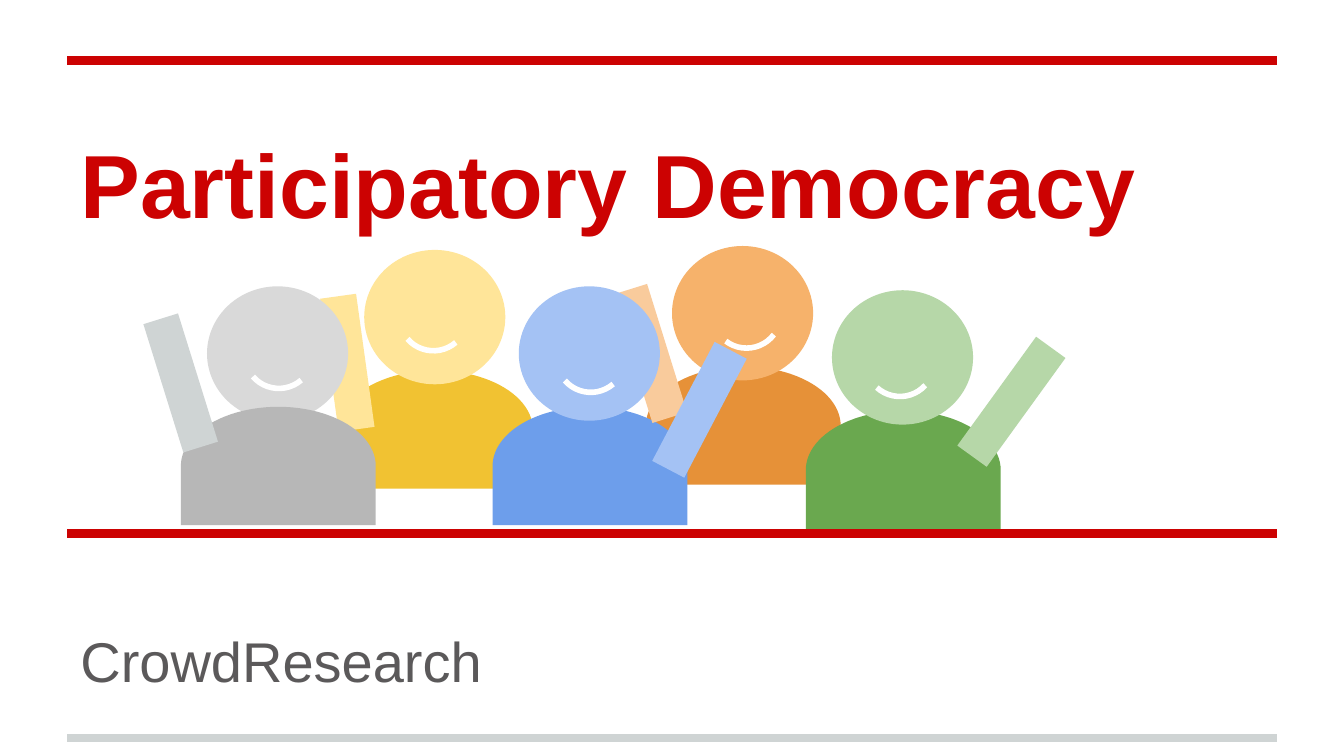
from dataclasses import dataclass

from lxml import etree
from pptx import Presentation
from pptx import util as u
from pptx.dml.color import RGBColor
from pptx.enum import shapes, text
from pptx.oxml import ns

COLORS = {
    "red": "CC0202", "rule": "CFD4D4", "ink": "5B595A", "white": "FFFFFF",
    "yellow": "F1C232", "yellow_light": "FFE599",
    "orange": "E69138", "orange_light": "F6B26B", "orange_pale": "F9CB9C",
    "green": "6AA84F", "green_light": "B6D7A8",
    "blue": "6D9EEB", "blue_light": "A4C2F4",
    "grey": "B7B7B7", "grey_light": "D9D9D9",
}
LEFT, WIDTH = 36, 648
HEAD, BODY, ARM, SMILE = (75.6, 72), (63.36, 104.4), (19.44, 72), (36.72, 36.72)
BODY_OFFSET = (6.5, 44)
MSO = shapes.MSO_SHAPE


@dataclass
class Person:
    """One member of the crowd; positions are (left, top) in points."""
    body: str
    face: str
    sleeve: str
    head_at: tuple[float, float]
    arm_at: tuple[float, float]
    arm_turn: float
    smile_at: tuple[float, float]
    smile_turn: float = 139.2
    body_in_front: bool = False


@dataclass
class Label:
    """A line of text in its own box."""
    words: str
    top: float
    height: float
    size: float
    color: str
    bold: bool = False


@dataclass
class Rule:
    """A horizontal line across the slide."""
    y: float
    weight: float
    color: str


RULES = [Rule(395.3, 4, "rule"), Rule(32.4, 4.5, "red"), Rule(285.8, 4.5, "red")]
LABELS = [
    Label("Participatory Democracy", 56.2, 236.9, 48, "red", True),
    Label("CrowdResearch", 324.7, 97.2, 30, "ink"),
]
CROWD = [
    Person("yellow", "yellow_light", "yellow_light", (195.1, 133.9),
           (176.4, 158.4), 352.1, (213.8, 151.2)),
    Person("orange", "orange_light", "orange_pale", (360, 131.8),
           (338.4, 153.4), 342.7, (381.6, 149.8), 127.3),
    Person("green", "green_light", "green_light", (445.7, 155.5),
           (532.1, 179.3), 35.9, (463.7, 175.7), 132.3),
    Person("blue", "blue_light", "blue_light", (277.9, 153.4),
           (365, 183.6), 27.7, (298.1, 173.5)),
    Person("grey", "grey_light", "rule", (110.9, 153.4),
           (87.1, 169.2), 342.7, (131, 171.4), body_in_front=True),
]


def rgb(name: str) -> RGBColor:
    """Look up a named colour."""
    return RGBColor.from_string(COLORS[name])


def add_rule(s, rule: Rule) -> None:
    """Draw a horizontal rule."""
    y = u.Pt(rule.y)
    sp = s.shapes.add_connector(shapes.MSO_CONNECTOR.STRAIGHT,
                                u.Pt(LEFT), y, u.Pt(LEFT + WIDTH), y)
    sp.line.color.rgb = rgb(rule.color)
    sp.line.width = u.Pt(rule.weight)
    etree.SubElement(sp._element.spPr, ns.qn("a:effectLst"))


def add_label(s, label: Label) -> None:
    """Write a label."""
    sp = s.shapes.add_textbox(u.Pt(LEFT), u.Pt(label.top), u.Pt(WIDTH), u.Pt(label.height))
    tf = sp.text_frame
    tf.word_wrap = True
    tf.vertical_anchor = text.MSO_ANCHOR.TOP
    tf.margin_left = tf.margin_right = tf.margin_top = tf.margin_bottom = u.Pt(7.2)
    p = tf.paragraphs[0]
    p.line_spacing = 1.1
    r = p.add_run()
    r.text = label.words
    r.font.name = "Arial"
    r.font.size = u.Pt(label.size)
    r.font.bold = label.bold
    r.font.color.rgb = rgb(label.color)


def add_part(s, kind, at: tuple, size: tuple, color: str, turn: float = 0):
    """Draw one filled shape without outline."""
    sp = s.shapes.add_shape(kind, *(u.Pt(v) for v in (*at, *size)))
    sp.rotation = turn
    sp.shadow.inherit = False
    sp.fill.solid()
    sp.fill.fore_color.rgb = rgb(color)
    sp.line.fill.background()
    return sp


def add_body(s, who: Person) -> None:
    """Draw the shoulders below a head."""
    at = tuple(h + d for h, d in zip(who.head_at, BODY_OFFSET))
    add_part(s, MSO.FLOWCHART_DELAY, at, BODY, who.body, 270)


def add_smile(s, who: Person) -> None:
    """Draw a smile as an open arc."""
    sp = add_part(s, MSO.ARC, who.smile_at, SMILE, "white", who.smile_turn)
    sp.fill.background()
    sp.line.color.rgb = rgb("white")
    sp.line.width = u.Pt(3)


def add_crowd(s, crowd: list[Person]) -> None:
    """Draw the people in layers, smiles on top."""
    for who in crowd:
        if not who.body_in_front:
            add_body(s, who)
    for who in crowd:
        add_part(s, MSO.OVAL, who.head_at, HEAD, who.face)
        if who.body_in_front:
            add_body(s, who)
        add_part(s, MSO.RECTANGLE, who.arm_at, ARM, who.sleeve, who.arm_turn)
    for who in crowd:
        add_smile(s, who)


def main() -> None:
    """Build and save the slide."""
    prs = Presentation()
    prs.slide_width, prs.slide_height = u.Pt(720), u.Pt(405)
    s = prs.slides.add_slide(prs.slide_layouts[6])
    for rule in RULES:
        add_rule(s, rule)
    for label in LABELS:
        add_label(s, label)
    add_crowd(s, CROWD)
    prs.save("out.pptx")


main()
